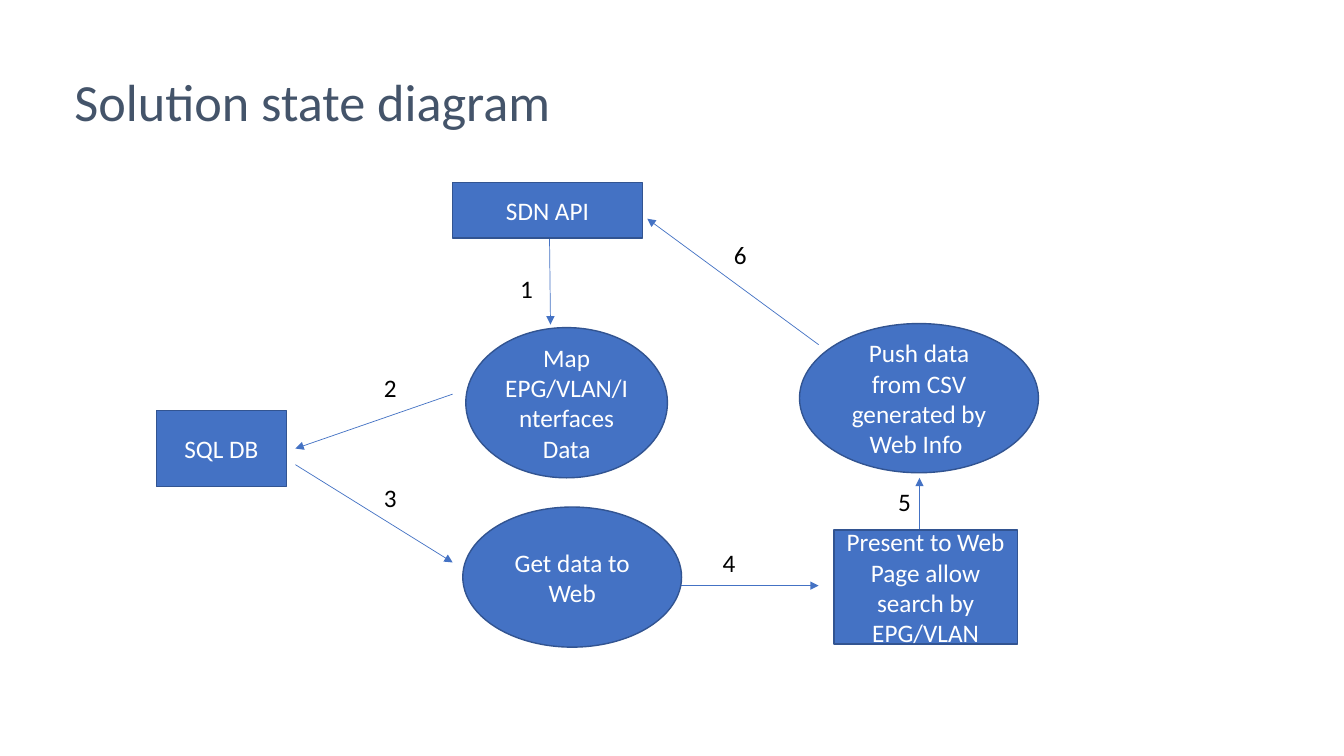
from dataclasses import dataclass

from lxml import etree
from pptx import Presentation
from pptx.dml.color import RGBColor
from pptx.enum.shapes import MSO_CONNECTOR, MSO_SHAPE
from pptx.enum.text import MSO_ANCHOR, PP_ALIGN
from pptx.oxml.ns import qn
from pptx.util import Inches, Pt

RECT, OVAL = MSO_SHAPE.RECTANGLE, MSO_SHAPE.OVAL
STRAIGHT = MSO_CONNECTOR.STRAIGHT
TOP, MIDDLE = MSO_ANCHOR.TOP, MSO_ANCHOR.MIDDLE
LEFT, CENTER = PP_ALIGN.LEFT, PP_ALIGN.CENTER


@dataclass(frozen=True)
class Theme:
    font: str = "Calibri"
    title_size: float = 37.3
    body_size: float = 18
    title: str = "44546A"
    label: str = "000000"
    node_text: str = "FFFFFF"
    accent: str = "4472C4"
    outline: str = "325491"
    outline_width: float = 1
    arrow_width: float = 0.5


class Diagram:
    def __init__(self, slide, theme):
        self.slide = slide
        self.theme = theme

    def set_text(self, sp, text, size, color, align, anchor):
        tf = sp.text_frame
        tf.text = text
        tf.word_wrap = True
        tf.vertical_anchor = anchor
        p = tf.paragraphs[0]
        p.alignment = align
        font = p.runs[0].font
        font.name = self.theme.font
        font.size = Pt(size)
        font.color.rgb = RGBColor.from_string(color)
        return p

    def title(self, text, box):
        sp = self.slide.shapes.add_textbox(*map(Inches, box))
        p = self.set_text(sp, text, self.theme.title_size, self.theme.title, LEFT, MIDDLE)
        p.line_spacing = 0.9

    def label(self, text, box):
        sp = self.slide.shapes.add_textbox(*map(Inches, box))
        self.set_text(sp, text, self.theme.body_size, self.theme.label, LEFT, TOP)

    def node(self, kind, text, box):
        sp = self.slide.shapes.add_shape(kind, *map(Inches, box))
        sp.shadow.inherit = False
        sp.fill.solid()
        sp.fill.fore_color.rgb = RGBColor.from_string(self.theme.accent)
        sp.line.color.rgb = RGBColor.from_string(self.theme.outline)
        sp.line.width = Pt(self.theme.outline_width)
        self.set_text(sp, text, self.theme.body_size, self.theme.node_text, CENTER, MIDDLE)

    def arrow(self, start, end):
        sp = self.slide.shapes.add_connector(STRAIGHT, *map(Inches, start + end))
        sp.line.color.rgb = RGBColor.from_string(self.theme.accent)
        sp.line.width = Pt(self.theme.arrow_width)
        sp_pr = sp._element.spPr
        etree.SubElement(sp_pr.find(qn("a:ln")), qn("a:tailEnd"), type="triangle")
        etree.SubElement(sp_pr, qn("a:effectLst"))


prs = Presentation()
prs.slide_width, prs.slide_height = Inches(13.33), Inches(7.5)
slide = prs.slides.add_slide(prs.slide_layouts[6])
diagram = Diagram(slide, Theme())

# Title
diagram.title("Solution state diagram", (0.64, 0.5, 12.17, 1.07))

# Numbered steps: arrow start, arrow end, label left, top and width
STEPS = [
    ((5.45, 2.35), (5.46, 3.22), (5.06, 2.66, 0.33)),
    ((4.49, 3.91), (2.93, 4.45), (3.71, 3.64, 0.33)),
    ((2.93, 4.61), (4.49, 5.58), (3.71, 4.74, 0.33)),
    ((6.36, 5.81), (8.12, 5.81), (7.07, 5.38, 0.33)),
    ((9.12, 5.26), (9.12, 4.74), (8.81, 4.78, 0.27)),
    ((8.12, 3.42), (6.42, 2.17), (7.18, 2.33, 0.33)),
]
LABEL_HEIGHT = 0.4
for number, (start, end, place) in enumerate(STEPS, 1):
    diagram.arrow(start, end)
    diagram.label(str(number), place + (LABEL_HEIGHT,))

# Systems (rectangles) and actions (ovals), above the arrow ends
NODES = [
    (RECT, "SDN API", (4.49, 1.81, 1.88, 0.55)),
    (OVAL, "Map EPG/VLAN/Interfaces Data", (4.62, 3.25, 2, 1.49)),
    (RECT, "SQL DB", (1.55, 4.07, 1.29, 0.76)),
    (OVAL, "Get data to Web", (4.59, 5.03, 2.17, 1.39)),
    (RECT, "Present to Web Page allow search by EPG/VLAN", (8.27, 5.26, 1.82, 1.13)),
    (OVAL, "Push data from CSV generated by Web Info ", (7.93, 3.21, 2.37, 1.48)),
]
for kind, text, box in NODES:
    diagram.node(kind, text, box)

prs.save("out.pptx")
